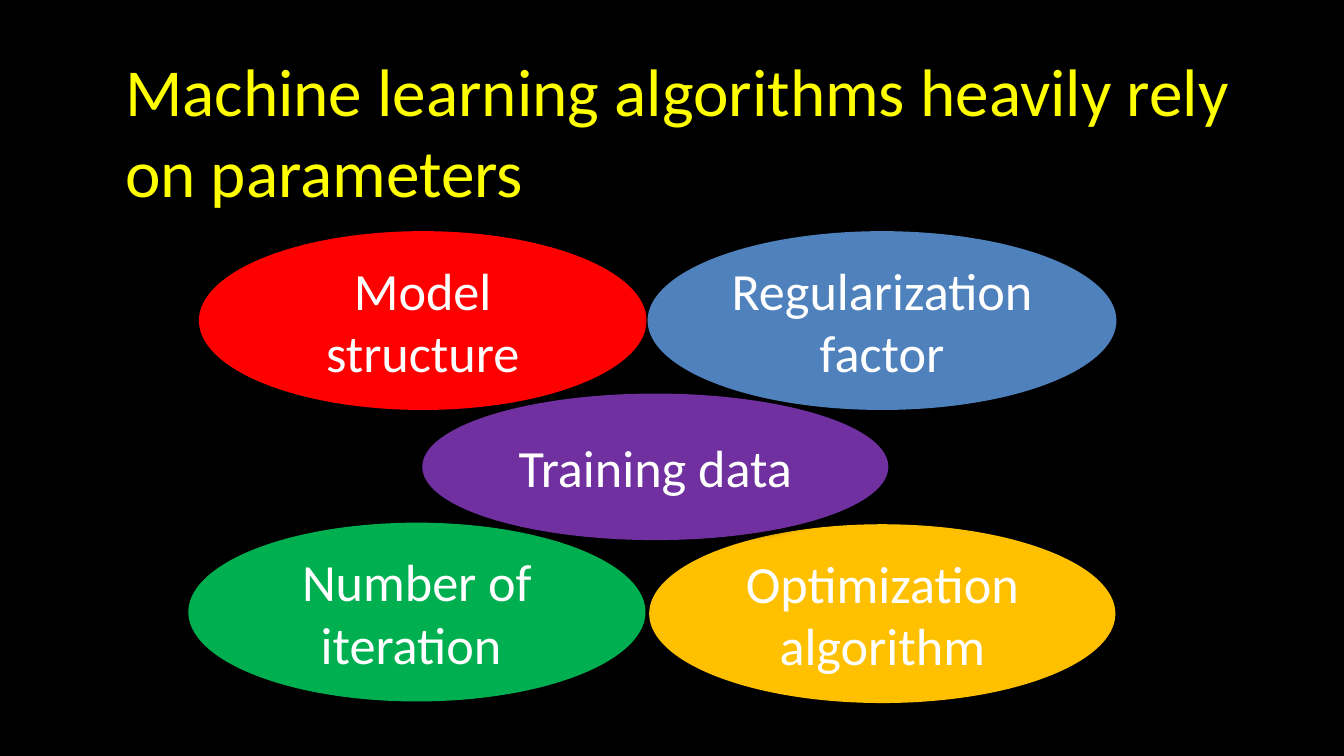
from lxml import etree
from pptx import Presentation
from pptx.dml.color import RGBColor
from pptx.enum.shapes import MSO_SHAPE
from pptx.enum.text import MSO_ANCHOR, PP_ALIGN
from pptx.oxml.ns import nsdecls
from pptx.util import Cm, Pt

OVAL = MSO_SHAPE.OVAL
MIDDLE = MSO_ANCHOR.MIDDLE
LEFT, CENTER = PP_ALIGN.LEFT, PP_ALIGN.CENTER
TITLE_ONLY = 5

COLORS = {
    "background": "000000",
    "title": "FFFF00",
    "label": "FFFFFF",
    "red": "FF0000",
    "blue": "4F81BD",
    "green": "00B050",
    "gold": "FFC000",
    "purple": "7030A0",
}
FONT = "Calibri"
SHADOW = (
    f'<a:effectLst {nsdecls("a")}>'
    '<a:outerShdw blurRad="40000" dist="20000" dir="5400000" rotWithShape="0">'
    '<a:srgbClr val="000000"><a:alpha val="38000"/></a:srgbClr>'
    "</a:outerShdw></a:effectLst>"
)


def color(name):
    return RGBColor.from_string(COLORS[name])


def format_text(text_frame, text, size, color_name, alignment):
    text_frame.text = text
    text_frame.word_wrap = True
    text_frame.vertical_anchor = MIDDLE
    paragraph = text_frame.paragraphs[0]
    paragraph.alignment = alignment
    paragraph.font.name = FONT
    paragraph.font.size = Pt(size)
    paragraph.font.color.rgb = color(color_name)


presentation = Presentation()
presentation.slide_width = Cm(25.4)
presentation.slide_height = Cm(14.29)
slide = presentation.slides.add_slide(presentation.slide_layouts[TITLE_ONLY])
slide.background.fill.solid()
slide.background.fill.fore_color.rgb = color("background")

# Title
title = slide.shapes.title
title.left, title.top = Cm(2.11), Cm(0.13)
title.width, title.height = Cm(21.79), Cm(4.65)
format_text(title.text_frame, "Machine learning algorithms heavily rely on parameters",
            36, "title", LEFT)

# Parameter ovals, back to front: label, fill, left, top, width, height in cm
ovals = [
    ("Model structure", "red", 3.76, 4.37, 8.46, 3.38),
    ("Regularization factor", "blue", 12.24, 4.37, 8.86, 3.38),
    ("Number of iteration ", "green", 3.56, 9.88, 8.64, 3.38),
    ("Optimization algorithm", "gold", 12.27, 9.91, 8.81, 3.38),
    ("Training data", "purple", 7.98, 7.44, 8.81, 2.77),
]
for label, fill, *box in ovals:
    oval = slide.shapes.add_shape(OVAL, *map(Cm, box))
    oval.fill.solid()
    oval.fill.fore_color.rgb = color(fill)
    oval.line.fill.background()
    oval.element.spPr.append(etree.fromstring(SHADOW))
    format_text(oval.text_frame, label, 28, "label", CENTER)

presentation.save("out.pptx")
